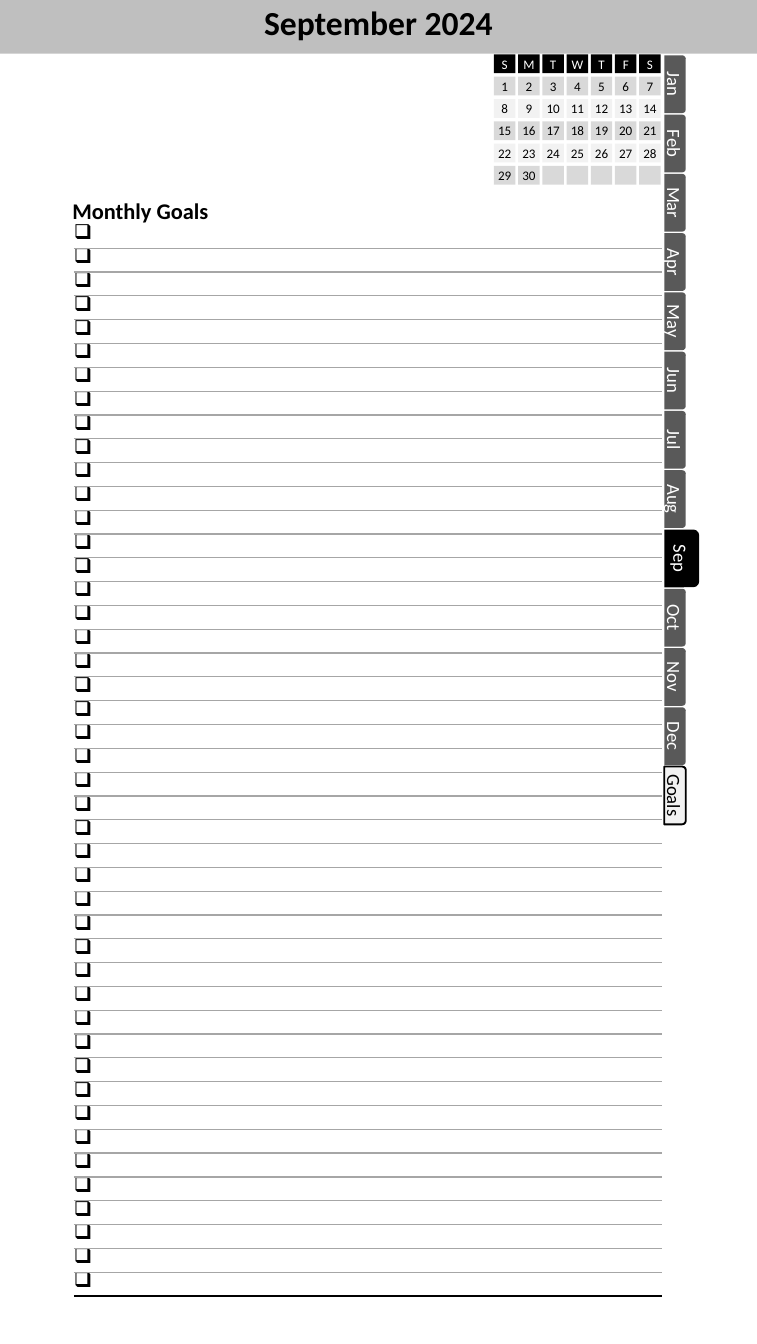
from lxml.etree import SubElement
from pptx import Presentation
from pptx.dml.color import RGBColor
from pptx.enum.shapes import MSO_SHAPE as Shape
from pptx.enum.text import MSO_ANCHOR as Anchor, PP_ALIGN as Align
from pptx.oxml.ns import qn
from pptx.util import Inches, Pt

COLORS = {
    "black": "000000", "white": "FFFFFF", "band": "BFBFBF", "tab": "595959",
    "rule": "A6A6A6", "odd week": "D9D9D9", "even week": "F2F2F2",
}
WIDTH, HEIGHT = 5.63, 10
BAND_HEIGHT = 0.4
MONTHS = ["Jan", "Feb", "Mar", "Apr", "May", "Jun",
          "Jul", "Aug", "Sep", "Oct", "Nov", "Dec"]
CURRENT = "Sep"
DAYS_IN_MONTH = 30  # the month starts on a Sunday
GOAL_ROWS, GOALS_HEIGHT = 45, 7.98
NO_TABLE_STYLE = "{2D5ABB26-0587-4C30-8999-92F81FD0307C}"


def write(frame, text, size, color="black", bold=False, align=Align.CENTER,
          anchor=Anchor.MIDDLE, inset=0, wrap=True):
    frame.word_wrap = wrap
    frame.vertical_anchor = anchor
    frame.margin_left = frame.margin_right = Inches(2 * inset)
    frame.margin_top = frame.margin_bottom = Inches(inset)
    paragraph = frame.paragraphs[0]
    paragraph.alignment = align
    run = paragraph.add_run()
    run.text = text
    run.font.name = "Calibri"
    run.font.size = Pt(size)
    run.font.bold = bold
    run.font.color.rgb = RGBColor.from_string(COLORS[color])
    return paragraph


def add_block(shapes, kind, left, top, width, height, fill):
    shape = shapes.add_shape(kind, Inches(left), Inches(top), Inches(width), Inches(height))
    shape.shadow.inherit = False
    shape.fill.solid()
    shape.fill.fore_color.rgb = RGBColor.from_string(COLORS[fill])
    shape.line.fill.background()
    return shape


presentation = Presentation()
presentation.slide_width, presentation.slide_height = Inches(WIDTH), Inches(HEIGHT)
slide = presentation.slides.add_slide(presentation.slide_layouts[5])
shapes = slide.shapes

# Header band, with the title in front of it
add_block(shapes, Shape.RECTANGLE, 0, 0, WIDTH, BAND_HEIGHT, "band")
title = shapes.title
title.left, title.top = Inches(1.27), Inches(0)
title.width, title.height = Inches(3.09), Inches(BAND_HEIGHT)
paragraph = write(title.text_frame, "September 2024", 18, bold=True,
                  anchor=Anchor.TOP, inset=0.05)
paragraph.line_spacing = 0.9
shapes._spTree.append(title._element)

# Goals checklist: each row holds a check box bullet and a rule below
label = shapes.add_textbox(Inches(0.44), Inches(1.42), Inches(1.23), Inches(0.3))
write(label.text_frame, "Monthly Goals", 12, bold=True, align=Align.LEFT,
      anchor=Anchor.TOP, inset=0.05, wrap=False)

goals = shapes.add_table(GOAL_ROWS, 1, Inches(0.55), Inches(1.67),
                         Inches(4.37), Inches(GOALS_HEIGHT)).table
goals.first_row = goals.horz_banding = False
goals._tbl.tblPr.find(qn("a:tableStyleId")).text = NO_TABLE_STYLE
for index, row in enumerate(goals.rows):
    row.height = Inches(GOALS_HEIGHT / GOAL_ROWS)
    cell = row.cells[0]
    paragraph = write(cell.text_frame, " ", 11, align=Align.LEFT)
    paragraph.line_spacing = Pt(12)
    bullet = paragraph._p.get_or_add_pPr()
    bullet.set("marL", str(Inches(0.17)))
    bullet.set("indent", str(-Inches(0.17)))
    SubElement(bullet, qn("a:buChar"), char="❑")
    cell.margin_left = cell.margin_right = cell.margin_top = cell.margin_bottom = 0
    cell.vertical_anchor = Anchor.MIDDLE
    last = index == GOAL_ROWS - 1
    borders = {"a:lnB": ("black", 1) if last else ("rule", 0.75)}
    if index > 0:
        borders = {"a:lnT": ("rule", 0.75), **borders}
    properties = cell._tc.get_or_add_tcPr()
    for side, (color, points) in borders.items():
        line = SubElement(properties, qn(side), w=str(Pt(points)))
        SubElement(SubElement(line, qn("a:solidFill")), qn("a:srgbClr"), val=COLORS[color])
    cell.fill.background()

# Month tabs, turned to read downwards along the right edge of the list
TAB_LEFT, TAB_LENGTH, TAB_PITCH, FIRST_CENTER = 4.94, 0.43, 0.441, 0.627
for index, name in enumerate(MONTHS + ["Goals"]):
    depth = 0.26 if name == CURRENT else 0.16
    fill = {CURRENT: "black", "Goals": "even week"}.get(name, "tab")
    tab = add_block(shapes, Shape.ROUND_2_SAME_RECTANGLE,
                    TAB_LEFT + depth / 2 - TAB_LENGTH / 2,
                    FIRST_CENTER + index * TAB_PITCH - depth / 2,
                    TAB_LENGTH, depth, fill)
    tab.rotation = 90
    if name == "Goals":
        tab.line.color.rgb = RGBColor.from_string(COLORS["black"])
        tab.line.width = Pt(1)
    write(tab.text_frame, name, 10, "black" if name == "Goals" else "white")

# Small calendar: a weekday row, then five weeks
calendar = shapes.add_group_shape().shapes
for week in range(6):
    for weekday in range(7):
        day = (week - 1) * 7 + weekday + 1
        if week == 0:
            text, fill, color = "SMTWTFS"[weekday], "black", "white"
        else:
            text = str(day) if day <= DAYS_IN_MONTH else ""
            fill, color = "odd week" if week % 2 else "even week", "black"
        box = add_block(calendar, Shape.RECTANGLE, 3.674 + weekday * 0.18,
                        0.405 + week * 0.166, 0.16, 0.14, fill)
        if text:
            write(box.text_frame, text, 7, color)

presentation.save("out.pptx")
